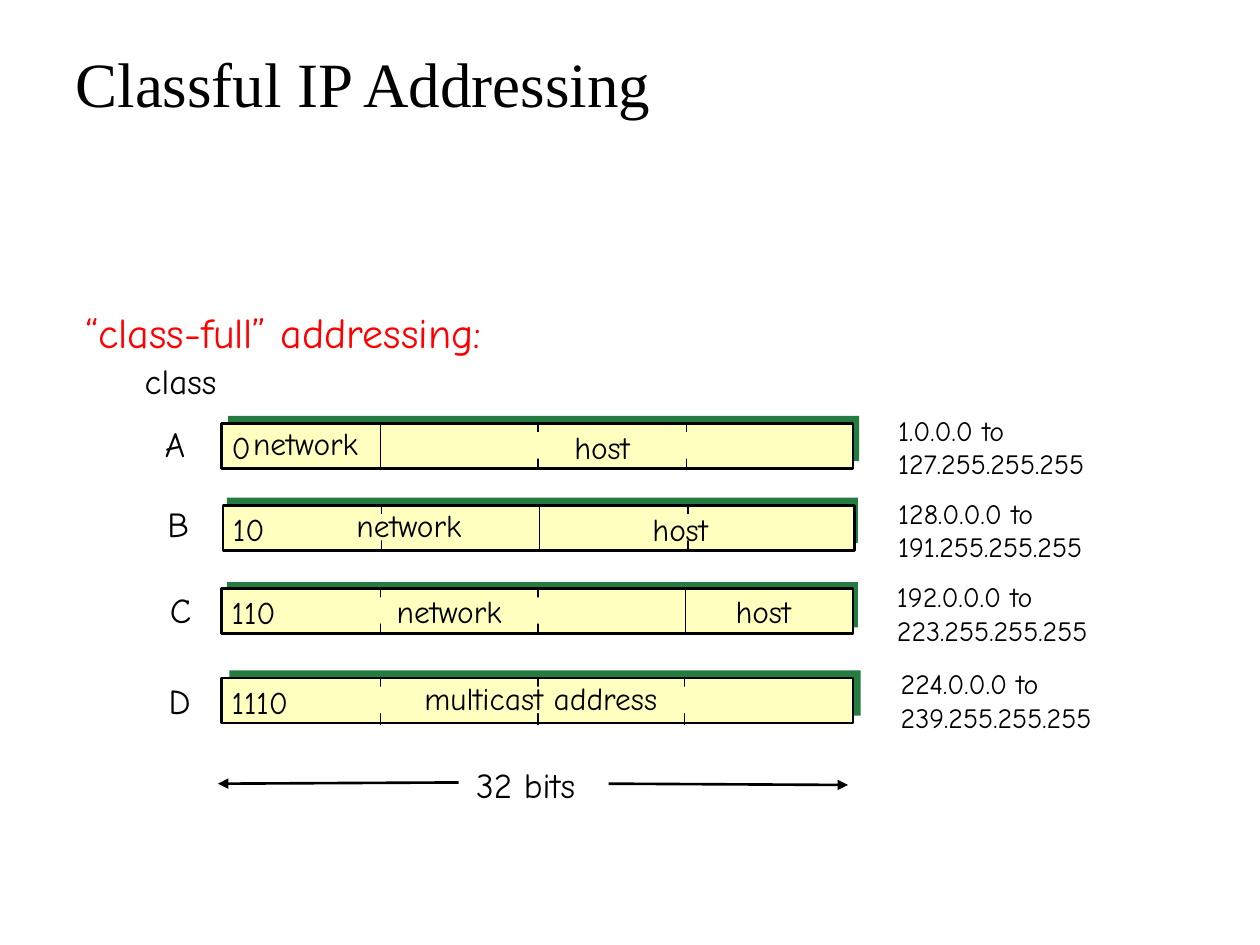
from lxml.etree import SubElement
from pptx import Presentation
from pptx.dml.color import RGBColor
from pptx.enum.shapes import MSO_CONNECTOR, MSO_SHAPE
from pptx.enum.text import MSO_ANCHOR, MSO_AUTO_SIZE, PP_ALIGN
from pptx.oxml.ns import qn
from pptx.util import Inches, Pt

BLACK, RED, GREEN, CREAM = "000000", "FF0000", "247C41", "FFFFBF"
BAR_W, BAR_H = 5.01, 0.36
TICK_H = 0.37

# bar and shadow are (left, top); solid is the index of the network/host border;
# each label is (text, left, top, width)
ROWS = [
    {"letter": ("A", 1.21, 3.3, 0.39), "bar": (1.76, 3.36), "shadow": (1.81, 3.3),
     "borders": (3.02, 4.27, 5.45), "solid": 0,
     "labels": [("0", 1.74, 3.35, 0.36), ("network", 1.91, 3.32, 1.22),
                ("host", 4.46, 3.35, 0.74)],
     "range": ("1.0.0.0 to\n127.255.255.255", 7.03, 3.23, 2.11)},
    {"letter": ("B", 1.23, 3.94, 0.39), "bar": (1.77, 4.01), "shadow": (1.8, 3.95),
     "borders": (3.03, 4.28, 5.46), "solid": 1,
     "labels": [("10", 1.75, 4, 0.51), ("network", 2.73, 3.97, 1.22),
                ("host", 5.08, 4, 0.74)],
     "range": ("128.0.0.0 to\n191.255.255.255", 7.03, 3.89, 2.11)},
    {"letter": ("C", 1.25, 4.62, 0.39), "bar": (1.76, 4.67), "shadow": (1.8, 4.62),
     "borders": (3.02, 4.27, 5.44), "solid": 2,
     "labels": [("110", 1.74, 4.66, 0.67), ("network", 3.05, 4.65, 1.22),
                ("host", 5.74, 4.65, 0.74)],
     "range": ("192.0.0.0 to\n223.255.255.255", 7.02, 4.55, 2.11)},
    {"letter": ("D", 1.24, 5.34, 0.41), "bar": (1.76, 5.38), "shadow": (1.82, 5.32),
     "borders": (3.02, 4.27, 5.43), "solid": None,
     "labels": [("1110", 1.74, 5.37, 0.83), ("multicast address", 3.27, 5.34, 2.42)],
     "range": ("224.0.0.0 to\n239.255.255.255", 7.05, 5.24, 2.11)},
]


def rgb(color):
    return RGBColor.from_string(color)


def format_text(tf, text, size, color, font="Comic Neue"):
    tf.text = text
    for p in tf.paragraphs:
        p.alignment = PP_ALIGN.LEFT
        for name, value in {"size": Pt(size), "name": font, "bold": False}.items():
            setattr(p.font, name, value)
        p.font.color.rgb = rgb(color)


def add_title(s, text):
    sp = s.shapes.title
    box = {"left": 0.5, "top": 0.3, "width": 9, "height": 0.71}
    for name, value in box.items():
        setattr(sp, name, Inches(value))
    sp.text_frame.vertical_anchor = MSO_ANCHOR.MIDDLE
    sp.text_frame.auto_size = MSO_AUTO_SIZE.NONE
    format_text(sp.text_frame, text, 36, BLACK, "Times New Roman")


def add_label(s, text, left, top, width, size=18, color=BLACK):
    lines = text.count("\n") + 1
    height = 0.1 + lines * size / 60
    sp = s.shapes.add_textbox(*map(Inches, (left, top, width, height)))
    tf = sp.text_frame
    tf.word_wrap = True
    tf.auto_size = MSO_AUTO_SIZE.SHAPE_TO_FIT_TEXT
    format_text(tf, text, size, color)


def add_rect(s, left, top, width, height, fill, outlined=False):
    sp = s.shapes.add_shape(MSO_SHAPE.RECTANGLE,
                            *map(Inches, (left, top, width, height)))
    sp.shadow.inherit = False
    sp.fill.solid()
    sp.fill.fore_color.rgb = rgb(fill)
    if outlined:
        sp.line.color.rgb = rgb(BLACK)
        sp.line.width = Pt(1.5)
    else:
        sp.line.fill.background()


def add_line(s, x1, y1, x2, y2, width=0.75, arrow=False):
    line = s.shapes.add_connector(MSO_CONNECTOR.STRAIGHT,
                                  *map(Inches, (x1, y1, x2, y2)))
    line.line.color.rgb = rgb(BLACK)
    line.line.width = Pt(width)
    if arrow:
        SubElement(line.line._get_or_add_ln(), qn("a:tailEnd"), type="triangle")
    SubElement(line._element.spPr, qn("a:effectLst"))


def add_address_bar(s, row):
    """Bar with a full line at the network/host border and ticks at other bytes."""
    left, top = row["bar"]
    add_rect(s, left, top, BAR_W, BAR_H, CREAM, outlined=True)
    for i, x in enumerate(row["borders"]):
        add_line(s, x, top, x, top + TICK_H)
        if i != row["solid"]:
            add_rect(s, x - 0.05, top + 0.07, 0.1, 0.21, CREAM)
    for label in row["labels"]:
        add_label(s, *label)


def main():
    prs = Presentation()
    prs.slide_width, prs.slide_height = Inches(10), Inches(7.5)
    s = prs.slides.add_slide(prs.slide_layouts[5])

    add_title(s, "Classful IP Addressing")
    for row in reversed(ROWS):
        add_rect(s, *row["shadow"], BAR_W, BAR_H, GREEN)
    for row in ROWS:
        add_address_bar(s, row)
        add_label(s, *row["letter"], size=20)
        add_label(s, *row["range"], size=16)

    add_label(s, "class", 1.05, 2.8, 0.89, size=20)
    add_label(s, "32 bits", 3.68, 6.01, 1.15, size=20)
    add_line(s, 4.83, 6.22, 6.73, 6.23, width=1.5, arrow=True)
    add_line(s, 3.64, 6.21, 1.73, 6.22, width=1.5, arrow=True)
    add_label(s, "“class-full” addressing:", 0.58, 2.38, 4.56, size=24, color=RED)

    prs.save("out.pptx")


if __name__ == "__main__":
    main()
